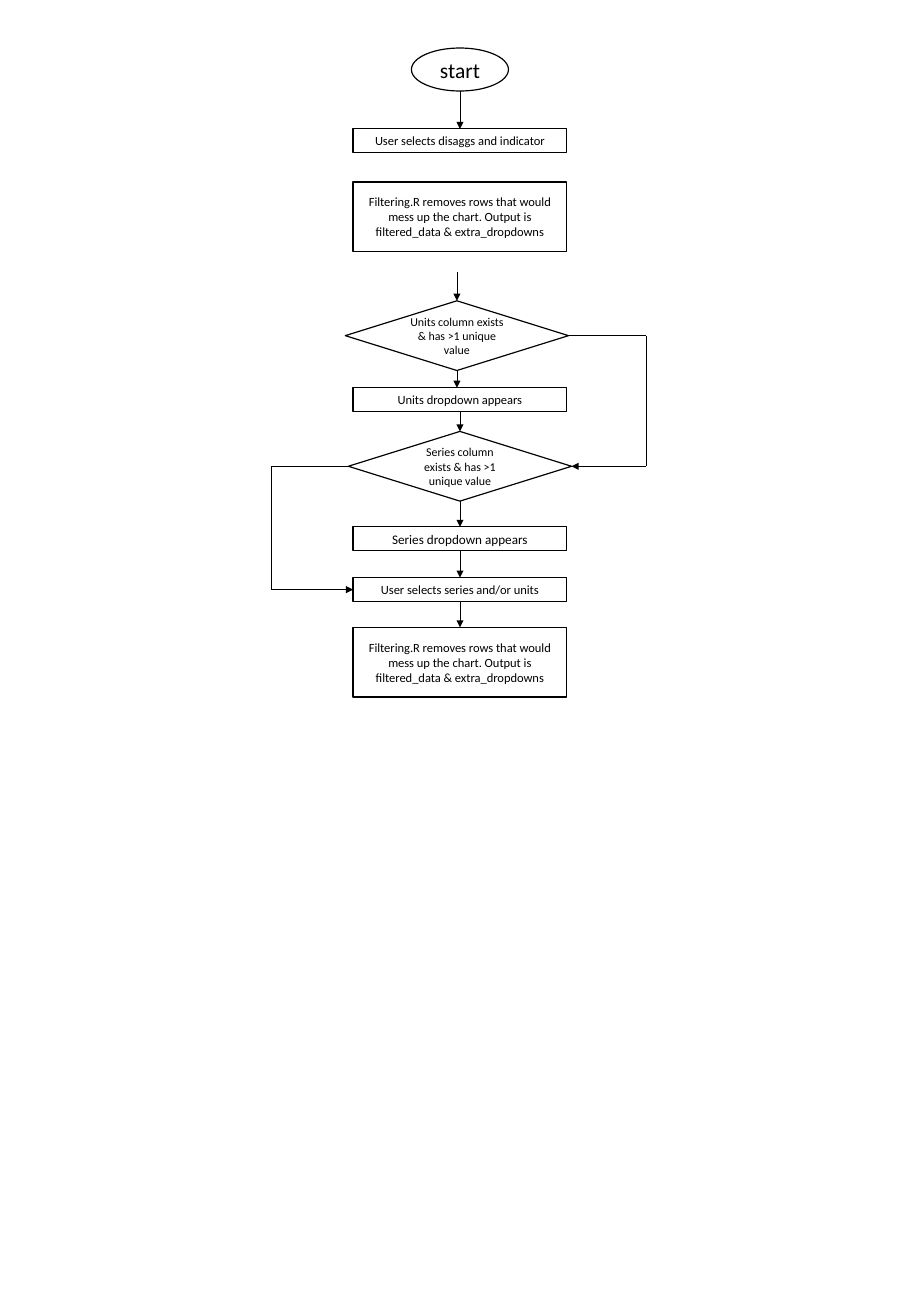
"""Flowchart of how the units and series dropdowns are filtered."""
from lxml.etree import SubElement
from pptx import Presentation
from pptx.dml.color import RGBColor
from pptx.enum.shapes import MSO_CONNECTOR, MSO_SHAPE
from pptx.enum.text import MSO_ANCHOR, PP_ALIGN
from pptx.oxml.ns import qn
from pptx.util import Cm, Pt

FILTERING = ("Filtering.R removes rows that would mess up the chart. "
             "Output is filtered_data & extra_dropdowns")
CENTER, UNITS_CENTER = 13.6, 13.51
STEPS = [
    ("start", "start", CENTER, 1.42, 18),
    ("User selects disaggs and indicator", "action", CENTER, 3.81, 10.5),
    (FILTERING, "process", CENTER, 5.38, 10.5),
    ("Units column exists & has >1 unique value", "decision", UNITS_CENTER, 8.89, 10),
    ("Units dropdown appears", "action", CENTER, 11.46, 10.5),
    ("Series column exists & has >1 unique value", "decision", CENTER, 12.75, 10),
    ("Series dropdown appears", "action", CENTER, 15.57, 11),
    ("User selects series and/or units", "action", CENTER, 17.07, 10.5),
    (FILTERING, "process", CENTER, 18.54, 10.5),
]
KINDS = {
    "start": (MSO_SHAPE.OVAL, 2.87, 1.27),
    "action": (MSO_SHAPE.RECTANGLE, 6.32, 0.71),
    "process": (MSO_SHAPE.RECTANGLE, 6.32, 2.06),
    "decision": (MSO_SHAPE.FLOWCHART_DECISION, 6.6, 2.06),
}
DOWN_ARROWS = [0, 3, 4, 5, 6, 7]
ENTRY_ARROW = (UNITS_CENTER, 8.03, 8.89)
BYPASSES = [(3, 5, 1, 19.1), (5, 7, -1, 8.03)]
COLORS = {"ink": "000000", "paper": "FFFFFF"}
FONT = "Calibri"


def color(name):
    return RGBColor.from_string(COLORS[name])


def add_step(slide, text, kind, center, top, size):
    preset, width, height = KINDS[kind]
    step = slide.shapes.add_shape(preset, Cm(center - width / 2), Cm(top), Cm(width), Cm(height))
    step.shadow.inherit = False
    step.fill.solid()
    step.fill.fore_color.rgb = color("paper")
    step.line.color.rgb = color("ink")
    step.line.width = Pt(1)
    frame = step.text_frame
    frame.text = text
    frame.word_wrap = True
    frame.vertical_anchor = MSO_ANCHOR.MIDDLE
    paragraph = frame.paragraphs[0]
    paragraph.alignment = PP_ALIGN.CENTER
    font = paragraph.runs[0].font
    font.name, font.size = FONT, Pt(size)
    font.color.rgb = color("ink")


def add_line(slide, start, end, arrow=False):
    line = slide.shapes.add_connector(MSO_CONNECTOR.STRAIGHT, *map(Cm, start + end))
    line.line.color.rgb = color("ink")
    line.line.width = Pt(0.5)
    properties = line._element.spPr
    if arrow:
        SubElement(properties.find(qn("a:ln")), qn("a:tailEnd"), type="triangle")
    SubElement(properties, qn("a:effectLst"))


def side_point(index, side):
    _, kind, center, top, _ = STEPS[index]
    _, width, height = KINDS[kind]
    return center + side * width / 2, top + height / 2


def main():
    deck = Presentation()
    deck.slide_width, deck.slide_height = Cm(26.67), Cm(38.89)
    slide = deck.slides.add_slide(deck.slide_layouts[6])

    for step in STEPS:
        add_step(slide, *step)

    for index in DOWN_ARROWS:
        _, kind, center, top, _ = STEPS[index]
        bottom = top + KINDS[kind][2]
        add_line(slide, (center, bottom), (center, STEPS[index + 1][3]), arrow=True)
    x, tail, head = ENTRY_ARROW
    add_line(slide, (x, tail), (x, head), arrow=True)

    for source, target, side, lane in BYPASSES:
        leave, arrive = side_point(source, side), side_point(target, side)
        upper, lower = (lane, leave[1]), (lane, arrive[1])
        add_line(slide, leave, upper)
        add_line(slide, upper, lower)
        add_line(slide, lower, arrive, arrow=True)

    deck.save("out.pptx")


if __name__ == "__main__":
    main()
